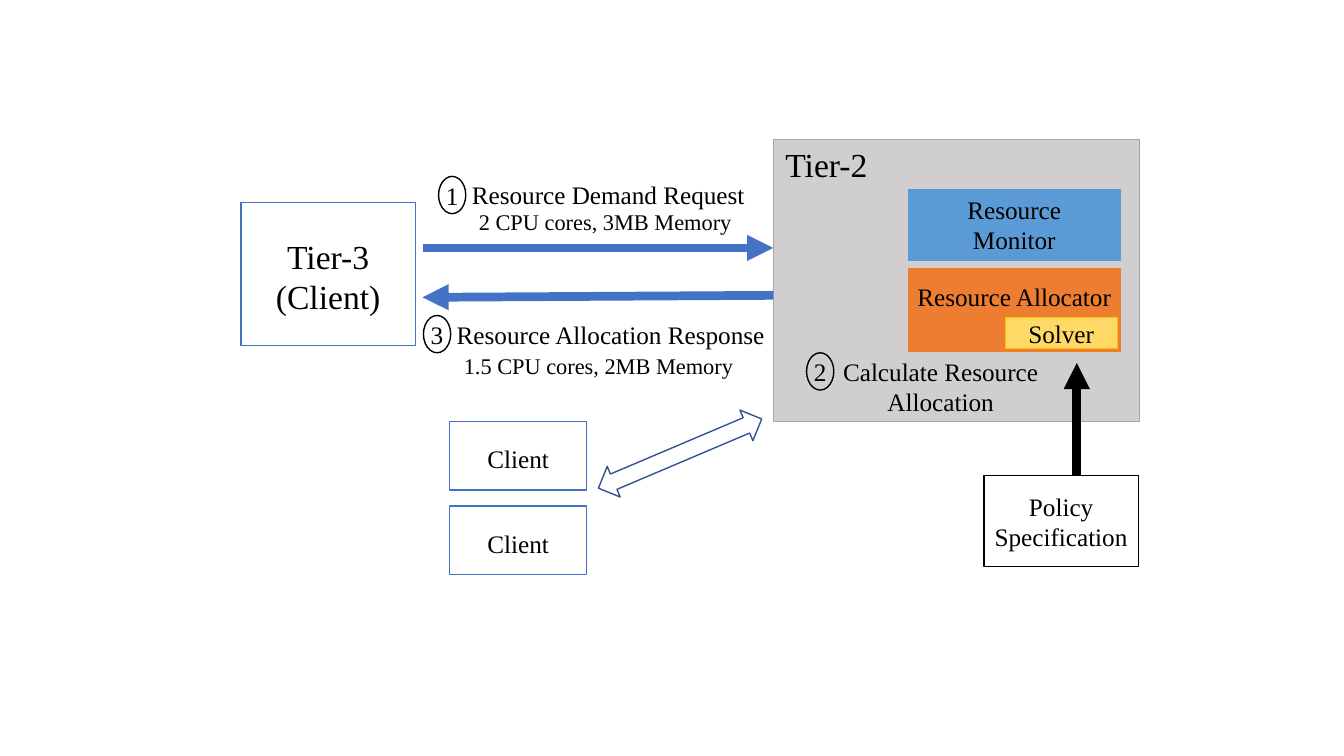
from lxml.etree import SubElement
from pptx import Presentation
from pptx.dml.color import RGBColor
from pptx.enum.shapes import MSO_CONNECTOR, MSO_SHAPE
from pptx.enum.text import MSO_ANCHOR, PP_ALIGN
from pptx.oxml.ns import qn
from pptx.util import Emu, Pt

PX = 9144
FONT = "Times New Roman"
BLACK, WHITE, BLUE = "000000", "FFFFFF", "4472C4"
LEFT, CENTER = PP_ALIGN.LEFT, PP_ALIGN.CENTER
TOP, MIDDLE = MSO_ANCHOR.TOP, MSO_ANCHOR.MIDDLE

TIER_2 = ((767, 138, 363, 280), "D0CECE", "A5A5A5", 0.5, "Tier-2", 24, LEFT, TOP, 12, 5)
BOXES = [
    ((239, 201, 173, 142), WHITE, BLUE, 1, "Tier-3\n(Client)", 24, CENTER, MIDDLE, 0, 4),
    *[((446, top, 136, 68), WHITE, BLUE, 1, "Client", 18, CENTER, MIDDLE, 0, 6) for top in (418, 502)],
    ((901, 188, 210, 70), "5B9BD5", "5B9BD5", 0.5, "Resource\nMonitor", 18, CENTER, MIDDLE, 0, 0),
    ((901, 266, 210, 83), "ED7D31", "ED7D31", 0.5, "Resource Allocator", 18, CENTER, TOP, 0, 13),
    ((997, 315, 111, 31), "FFD966", "FFC000", 0.5, "Solver", 18, CENTER, MIDDLE, 0, 0),
]
POLICY = ((976, 472, 153, 90), WHITE, BLACK, 1, "Policy\nSpecification", 18, CENTER, MIDDLE, 0, 0)

ARROWS = [
    ((420, 246), (767, 246), BLUE),
    ((767, 293), (419, 295), BLUE),
    ((1068, 473), (1068, 360), BLACK),
]
CLIENT_LINK = (658, 362, 33, 176)
CLIENT_LINK_ANGLE = 67

STEPS = [("1", 435, 175), ("2", 800, 350), ("3", 420, 313)]
LABELS = [
    ((468, 173, 300, 40), "Resource Demand Request", 18, LEFT),
    ((475, 201, 280, 37), "2 CPU cores, 3MB Memory", 16, LEFT),
    ((453, 312, 314, 40), "Resource Allocation Response", 18, LEFT),
    ((460, 344, 280, 37), "1.5 CPU cores, 2MB Memory", 16, LEFT),
    ((830, 348, 206, 71), "Calculate Resource\nAllocation", 18, CENTER),
]


def color(value):
    return RGBColor.from_string(value)


def emu(lengths):
    return [Emu(length * PX) for length in lengths]


def write(shape, text, size, align, anchor=MIDDLE, pad_left=0, pad_top=0):
    frame = shape.text_frame
    frame.word_wrap = True
    frame.vertical_anchor = anchor
    frame.margin_left, frame.margin_top = emu((pad_left, pad_top))
    frame.margin_right = frame.margin_bottom = 0
    frame.text = text
    for para in frame.paragraphs:
        para.alignment = align
        para.font.name = FONT
        para.font.size = Pt(size)
        para.font.color.rgb = color(BLACK)


def add_shape(page, kind, area, fill, line, width):
    shape = page.shapes.add_shape(kind, *emu(area))
    shape.shadow.inherit = False
    if fill:
        shape.fill.solid()
        shape.fill.fore_color.rgb = color(fill)
    else:
        shape.fill.background()
    shape.line.color.rgb = color(line)
    shape.line.width = Pt(width)
    return shape


def add_box(page, area, fill, line, width, *text_style):
    write(add_shape(page, MSO_SHAPE.RECTANGLE, area, fill, line, width), *text_style)


def add_arrow(page, start, end, line):
    arrow = page.shapes.add_connector(MSO_CONNECTOR.STRAIGHT, *emu(start + end))
    arrow.line.color.rgb = color(line)
    arrow.line.width = Pt(6.25)
    properties = arrow.element.spPr
    SubElement(properties.find(qn("a:ln")), qn("a:tailEnd"), type="triangle")
    SubElement(properties, qn("a:effectLst"))


def main():
    deck = Presentation()
    deck.slide_width, deck.slide_height = emu((1333, 750))
    page = deck.slides.add_slide(deck.slide_layouts[6])

    add_box(page, *TIER_2)
    for box in BOXES:
        add_box(page, *box)
    for arrow in ARROWS:
        add_arrow(page, *arrow)
    add_box(page, *POLICY)

    link = add_shape(page, MSO_SHAPE.UP_DOWN_ARROW, CLIENT_LINK, WHITE, "325491", 1)
    link.rotation = CLIENT_LINK_ANGLE

    for number, left, top in STEPS:
        circle = add_shape(page, MSO_SHAPE.OVAL, (left, top, 27, 37), None, BLACK, 1)
        write(circle, number, 18, CENTER)
    for area, text, size, align in LABELS:
        write(page.shapes.add_textbox(*emu(area)), text, size, align)

    deck.save("out.pptx")


if __name__ == "__main__":
    main()
